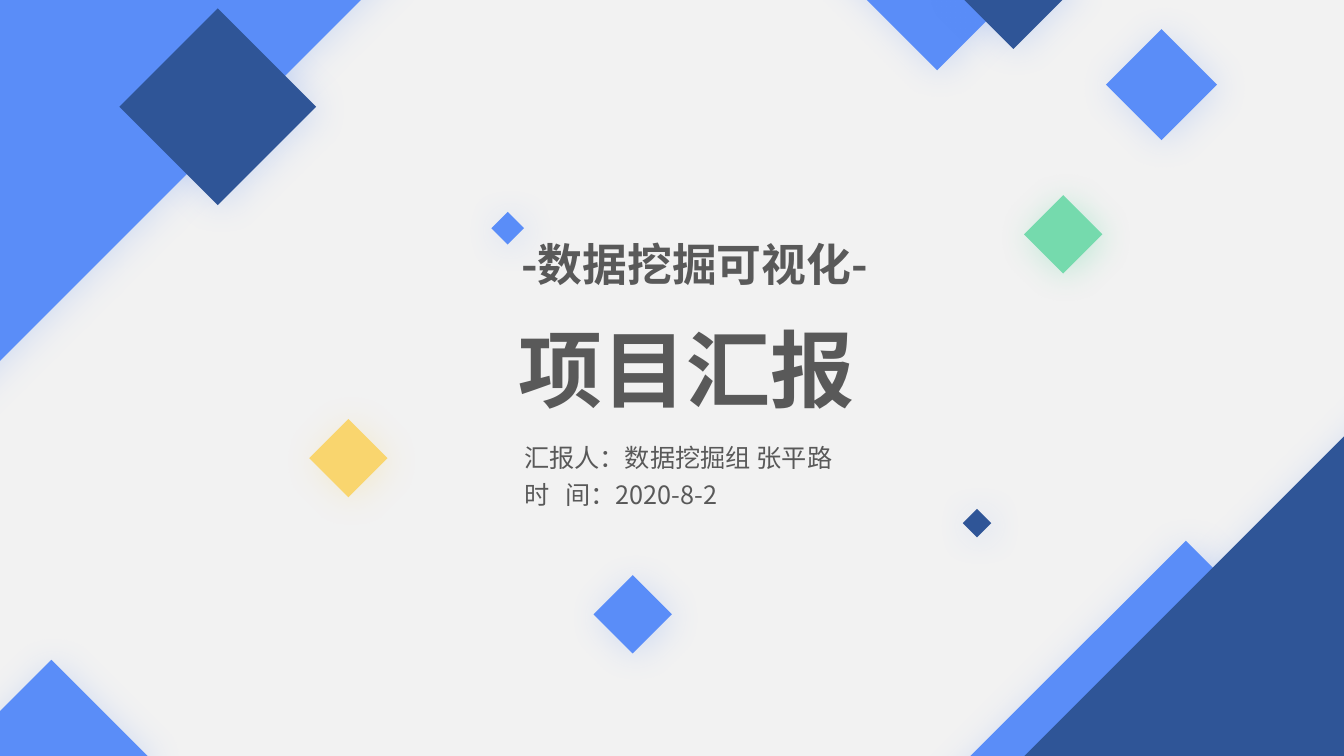
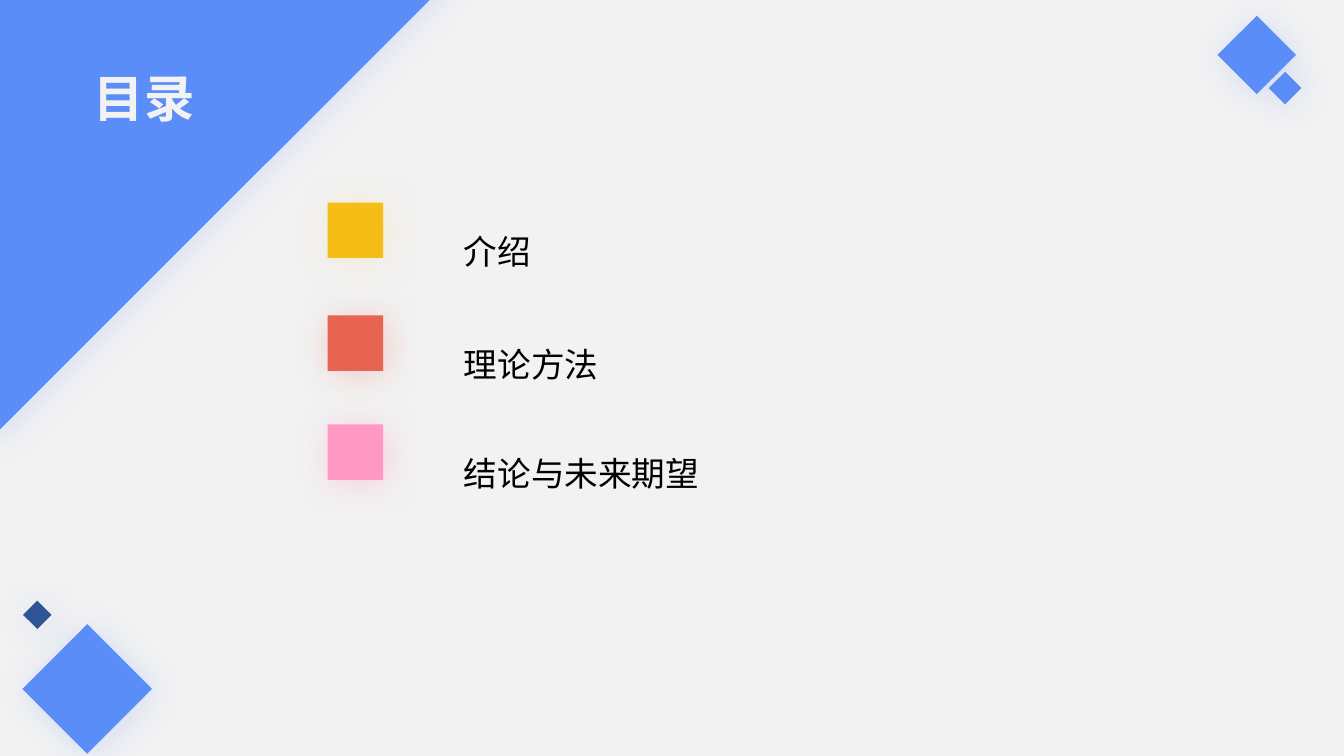
"""Build the cover and the agenda of a data mining project report."""
from lxml.etree import SubElement
from pptx import Presentation
from pptx.dml.color import RGBColor
from pptx.enum.shapes import MSO_SHAPE
from pptx.enum.text import MSO_ANCHOR, MSO_AUTO_SIZE, PP_ALIGN
from pptx.oxml.ns import qn
from pptx.util import Inches, Pt

FONT = "Noto Sans CJK SC"
PAPER = RGBColor(0xF2, 0xF2, 0xF2)
GREY = RGBColor(0x59, 0x59, 0x59)
BLACK = RGBColor(0x00, 0x00, 0x00)
BLUE = RGBColor(0x5A, 0x8D, 0xF8)
NAVY = RGBColor(0x2F, 0x55, 0x97)
GREEN = RGBColor(0x75, 0xDA, 0xAD)
SAND = RGBColor(0xF9, 0xD5, 0x6E)
GOLD = RGBColor(0xF6, 0xBD, 0x16)
RED = RGBColor(0xE8, 0x64, 0x52)
PINK = RGBColor(0xFF, 0x99, 0xC3)

SHADOWS = {
    BLUE: (BLUE, 21), NAVY: (BLUE, 21), GREEN: (GREEN, 40), SAND: (SAND, 26),
    GOLD: (SAND, 26), RED: (RED, 28), PINK: (PINK, 40),
}

COVER_TITLE = "项目汇报"
COVER_TOPIC = "-数据挖掘可视化-"
COVER_DETAILS = ["汇报人：数据挖掘组 张平路", "时\t间：2020-8-2"]
COVER_DIAMONDS = [
    (3.18, 4.27, 0.55, 0.55, SAND),
    (-0.9, -2.51, 3.12, 6.45, BLUE),
    (10.04, 5.48, 2, 4.04, BLUE),
    (11.13, 0.45, 0.78, 0.78, BLUE),
    (8.31, -1.68, 1.97, 1.97, BLUE),
    (-0.2, 6.84, 1.42, 1.42, BLUE),
    (4.92, 2.15, 0.23, 0.23, BLUE),
    (1.47, 0.37, 1.38, 1.38, NAVY),
    (9.6, -0.6, 0.9, 0.9, NAVY),
    (10.77, 2.88, 2.39, 9.01, NAVY),
    (9.59, 5.09, 0.2, 0.2, NAVY),
    (6, 5.82, 0.55, 0.55, BLUE),
    (10.27, 2.05, 0.55, 0.55, GREEN),
]

AGENDA_TITLE = "目录"
AGENDA = [("介绍", GOLD, 2.01), ("理论方法", RED, 3.13), ("结论与未来期望", PINK, 4.21)]
AGENDA_DIAMONDS = [
    (-0.44, -2.29, 3.12, 6.45, BLUE),
    (0.41, 6.38, 0.91, 0.91, BLUE),
    (12.63, 0.76, 0.23, 0.23, BLUE),
    (0.27, 6, 0.2, 0.2, NAVY),
    (12.19, 0.27, 0.55, 0.55, BLUE),
]
AGENDA_PITCH = 1.08


def add_square(page, left, top, width, height, color, turn=0):
    """Draw one flat rectangle with a soft coloured shadow."""
    square = page.shapes.add_shape(
        MSO_SHAPE.RECTANGLE, Inches(left), Inches(top), Inches(width), Inches(height))
    square.rotation = turn
    square.fill.solid()
    square.fill.fore_color.rgb = color
    square.line.fill.background()
    square.shadow.inherit = False
    tint, opacity = SHADOWS[color]
    effects = square._element.spPr.find(qn("a:effectLst"))
    shadow = SubElement(effects, qn("a:outerShdw"), blurRad=str(Pt(25)),
                        dist=str(Pt(3)), dir="2700000", rotWithShape="0")
    tone = SubElement(shadow, qn("a:srgbClr"), val=str(tint))
    SubElement(tone, qn("a:alpha"), val=str(opacity * 1000))


def add_diamonds(page, diamonds):
    """Draw rectangles turned by 45 degrees."""
    for diamond in diamonds:
        add_square(page, *diamond, turn=45)


def place(box, left, top, width, height, anchor=MSO_ANCHOR.TOP):
    """Move a text holder and fix its frame."""
    box.left, box.top = Inches(left), Inches(top)
    box.width, box.height = Inches(width), Inches(height)
    frame = box.text_frame
    frame.word_wrap = True
    frame.auto_size = MSO_AUTO_SIZE.NONE
    frame.vertical_anchor = anchor
    return frame


def write(para, text, size, color, bold=False):
    """Add one formatted run to a paragraph."""
    span = para.add_run()
    span.text = text
    font = span.font
    font.name, font.size, font.bold = FONT, Pt(size), bold
    font.color.rgb = color
    SubElement(span._r.get_or_add_rPr(), qn("a:ea"), typeface=FONT)


def write_heading(box, text, size, color, *area):
    """Fill a bold, centred, bottom-anchored heading."""
    para = place(box, *area, anchor=MSO_ANCHOR.BOTTOM).paragraphs[0]
    para.alignment = PP_ALIGN.CENTER
    para.line_spacing = 0.9
    para.space_before = Pt(0)
    write(para, text, size, color, bold=True)


def clear_bullet(para):
    """Remove the bullet and the hanging indent of a paragraph."""
    properties = para._p.get_or_add_pPr()
    properties.set("marL", "0")
    properties.set("indent", "0")
    SubElement(properties, qn("a:buNone"))


def build_cover(deck):
    """Build the cover slide."""
    page = deck.slides.add_slide(deck.slide_layouts[0])
    write_heading(page.shapes.title, COVER_TITLE, 60, GREY, 4.79, 3.01, 4.04, 1.2)
    write_heading(page.placeholders[1], COVER_TOPIC, 32, GREY, 4.87, 1.74, 4.04, 1.2)
    for index, detail in enumerate(COVER_DETAILS):
        box = page.shapes.add_textbox(0, 0, 0, 0)
        para = place(box, 5.1, 4.34 + 0.37 * index, 3.4, 0.4).paragraphs[0]
        tabs = SubElement(para._p.get_or_add_pPr(), qn("a:tabLst"))
        SubElement(tabs, qn("a:tab"), pos=str(Inches(0.41)), algn="l")
        write(para, detail, 18, GREY)
    add_diamonds(page, COVER_DIAMONDS)


def build_agenda(deck):
    """Build the agenda slide."""
    page = deck.slides.add_slide(deck.slide_layouts[1])
    add_diamonds(page, AGENDA_DIAMONDS)
    title = page.shapes.title
    write_heading(title, AGENDA_TITLE, 36, PAPER, 0.14, 0.22, 2.58, 1.1)
    page.shapes._spTree.append(title._element)
    frame = place(page.placeholders[1], 4.5, 1.56, 2.82, 3.4)
    previous = AGENDA[0][2] - AGENDA_PITCH
    for index, (topic, color, top) in enumerate(AGENDA):
        add_square(page, 3.25, top, 0.55, 0.55, color)
        para = frame.add_paragraph() if index else frame.paragraphs[0]
        para.line_spacing = Pt(AGENDA_PITCH * 72)
        para.space_before = Pt(round((top - previous - AGENDA_PITCH) * 72))
        clear_bullet(para)
        write(para, topic, 24, BLACK)
        previous = top


deck = Presentation()
deck.slide_width, deck.slide_height = Inches(13.33), Inches(7.5)
backdrop = deck.slide_master.background.fill
backdrop.solid()
backdrop.fore_color.rgb = PAPER
build_cover(deck)
build_agenda(deck)
deck.save("out.pptx")
